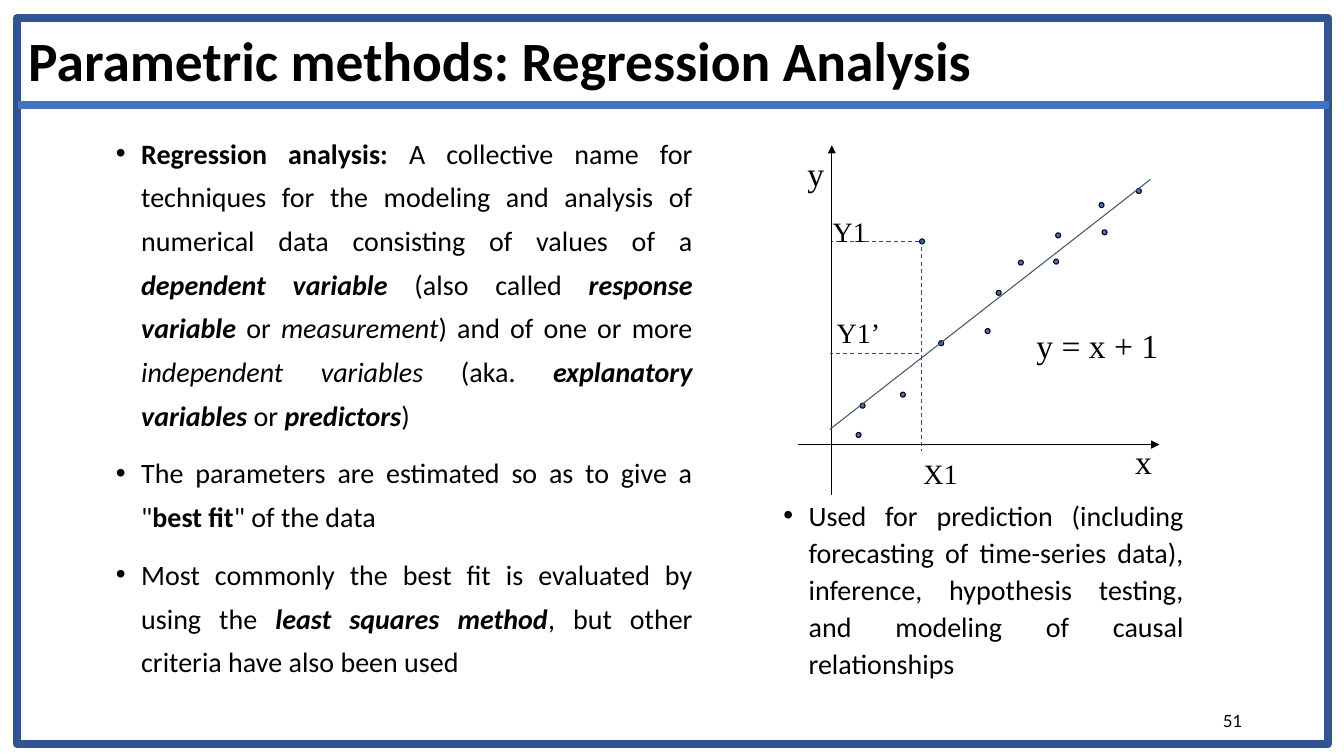
from dataclasses import dataclass

from lxml import etree
from pptx import Presentation
from pptx import util as u
from pptx.dml.color import RGBColor
from pptx.enum import dml, shapes, text
from pptx.oxml import ns

HUES = {"ink": "000000", "frame": "325491", "blue": "4472C4",
        "slate": "44546A", "teal": "006666"}
SERIF = "Times New Roman"
DOT = 0.05


@dataclass
class Label:
    words: str
    left: float
    top: float
    wide: float
    high: float
    size: float = 20


@dataclass
class Stroke:
    start: tuple[float, float]
    end: tuple[float, float]
    hue: str = "ink"
    width: float = 0.75
    dash: bool = False
    arrow: bool = False


def color(name: str) -> RGBColor:
    return RGBColor.from_string(HUES[name])


def place(shape, left: float, top: float, wide: float, high: float) -> None:
    shape.left, shape.top = u.Inches(left), u.Inches(top)
    shape.width, shape.height = u.Inches(wide), u.Inches(high)


def write(frame, paras: list, *, size: float, font: str = "Calibri",
          bold: bool = False, align=text.PP_ALIGN.LEFT, lead: float = 1,
          bullet: bool = False, anchor=text.MSO_ANCHOR.TOP, wrap: bool = True,
          fit=text.MSO_AUTO_SIZE.NONE) -> None:
    """Fill a frame; each paragraph is a list of (words, style letters)."""
    frame.word_wrap, frame.auto_size = wrap, fit
    frame.vertical_anchor = anchor
    for at, runs in enumerate(paras):
        para = frame.add_paragraph() if at else frame.paragraphs[0]
        para.alignment, para.line_spacing = align, lead
        para.space_before = u.Pt(10 if bullet else 0)
        if bullet:
            props = para._p.get_or_add_pPr()
            props.set("marL", str(u.Inches(0.25)))
            props.set("indent", str(u.Inches(-0.25)))
            etree.SubElement(props, ns.qn("a:buFont"), typeface="Arial")
            etree.SubElement(props, ns.qn("a:buChar"), char="•")
        for words, style in runs:
            run = para.add_run()
            run.text = words
            run.font.size, run.font.name = u.Pt(size), font
            run.font.bold = bold or "b" in style
            run.font.italic = "i" in style
            run.font.color.rgb = color("ink")


def draw(slide, mark: Stroke) -> None:
    ends = [u.Inches(n) for n in (*mark.start, *mark.end)]
    line = slide.shapes.add_connector(shapes.MSO_CONNECTOR.STRAIGHT, *ends)
    line.line.color.rgb = color(mark.hue)
    line.line.width = u.Pt(mark.width)
    if mark.dash:
        line.line.dash_style = dml.MSO_LINE.DASH
    if mark.arrow:
        etree.SubElement(line.line._get_or_add_ln(), ns.qn("a:tailEnd"),
                         type="triangle")
    etree.SubElement(line.element.spPr, ns.qn("a:effectLst"))


def shape(slide, kind, box: tuple, hue: str, width: float,
          fill: str | None = None) -> None:
    item = slide.shapes.add_shape(kind, *[u.Inches(n) for n in box])
    item.shadow.inherit = False
    if fill:
        item.fill.solid()
        item.fill.fore_color.rgb = color(fill)
    else:
        item.fill.background()
    item.line.color.rgb = color(hue)
    item.line.width = u.Pt(width)


POINTS = [
    [("Regression analysis: ", "b"),
     ("A collective name for techniques for the modeling and analysis of "
      "numerical data consisting of values of a ", ""),
     ("dependent variable ", "bi"), ("(also called ", ""),
     ("response variable ", "bi"), ("or ", ""), ("measurement", "i"),
     (") and of one or more ", ""), ("independent variables", "i"),
     (" (aka. ", ""), ("explanatory variables ", "bi"), ("or ", ""),
     ("predictors", "bi"), (")", "")],
    [('The parameters are estimated so as to give a "', ""),
     ("best fit", "b"), ('" of the data', "")],
    [("Most commonly the best fit is evaluated by using the ", ""),
     ("least squares method", "bi"),
     (", but other criteria have also been used", "")],
]
USES = [[("Used for prediction (including forecasting of time-series data), "
          "inference, hypothesis testing, and modeling of causal "
          "relationships", "")]]

# Top left corners of the data dots
DOTS = [(9.77, 3.26), (9.31, 3.38), (9.12, 2.37), (8.93, 3.89), (9.88, 2.88),
        (10.1, 2.58), (8.53, 4), (10.45, 2.57), (10.47, 2.31), (10.93, 2.28),
        (8.49, 4.29), (10.9, 2.01), (11.27, 1.87)]
AXES = [Stroke((7.91, 4.41), (11.5, 4.41), arrow=True),
        Stroke((8.25, 4.91), (8.25, 1.44), arrow=True)]
LINES = [Stroke((8.23, 4.26), (11.41, 1.78), "slate"),
         Stroke((9.14, 2.38), (9.14, 4.47), "teal", dash=True),
         Stroke((9.12, 2.4), (8.25, 2.4), "teal", dash=True),
         Stroke((9.12, 3.51), (8.23, 3.51), "teal", dash=True)]
LABELS = [Label("y", 7.91, 1.47, 0.37, 0.5, 24),
          Label("x", 11.16, 4.33, 0.37, 0.5, 24),
          Label("y = x + 1", 10.18, 3.17, 1.41, 0.5, 24),
          Label("X1", 9.06, 4.48, 0.54, 0.43),
          Label("Y1", 8.16, 2.08, 0.54, 0.43),
          Label("Y1’", 8.2, 3.08, 0.63, 0.43)]


def main() -> None:
    deck = Presentation()
    deck.slide_width, deck.slide_height = u.Inches(13.33), u.Inches(7.5)
    slide = deck.slides.add_slide(deck.slide_layouts[3])
    title, left, right = slide.placeholders

    # Title and lists
    place(title, 0.18, 0.3, 11.93, 0.67)
    write(title.text_frame, [[("Parametric methods: Regression Analysis", "")]],
          size=39.6, bold=True, lead=0.9, anchor=text.MSO_ANCHOR.MIDDLE)
    place(left, 1.05, 1.2, 5.92, 5.67)
    write(left.text_frame, POINTS, size=20, lead=1.3, bullet=True,
          align=text.PP_ALIGN.JUSTIFY)
    place(right, 7.67, 4.86, 4.17, 2.5)
    write(right.text_frame, USES, size=20, lead=1.1, bullet=True,
          align=text.PP_ALIGN.JUSTIFY)

    # Slide number
    box = [u.Inches(n) for n in (9.42, 6.95, 3, 0.4)]
    write(slide.shapes.add_textbox(*box).text_frame, [[("51", "")]], size=12,
          font="Lato", align=text.PP_ALIGN.RIGHT,
          anchor=text.MSO_ANCHOR.MIDDLE)

    # Scatter sketch
    for mark in AXES:
        draw(slide, mark)
    for spot in DOTS:
        shape(slide, shapes.MSO_SHAPE.OVAL, (*spot, DOT, DOT), "ink", 0.75,
              fill="blue")
    for mark in LINES:
        draw(slide, mark)
    for tag in LABELS:
        box = [u.Inches(n) for n in (tag.left, tag.top, tag.wide, tag.high)]
        write(slide.shapes.add_textbox(*box).text_frame, [[(tag.words, "")]],
              size=tag.size, font=SERIF, wrap=False,
              fit=text.MSO_AUTO_SIZE.SHAPE_TO_FIT_TEXT)

    # Slide frame and title rule
    shape(slide, shapes.MSO_SHAPE.RECTANGLE, (0.17, 0.18, 13, 7.2), "frame", 6)
    draw(slide, Stroke((0.18, 1.04), (13.18, 1.04), "blue", 6))

    deck.save("out.pptx")


if __name__ == "__main__":
    main()
